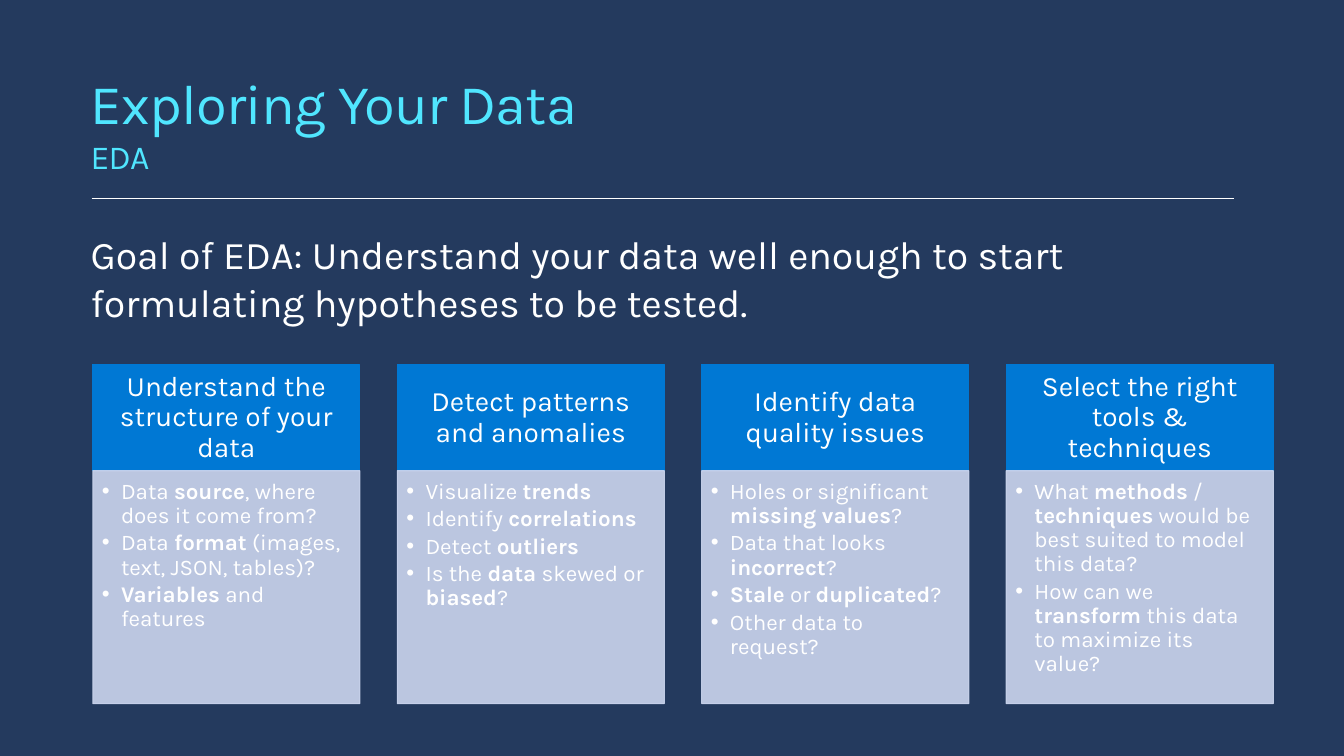
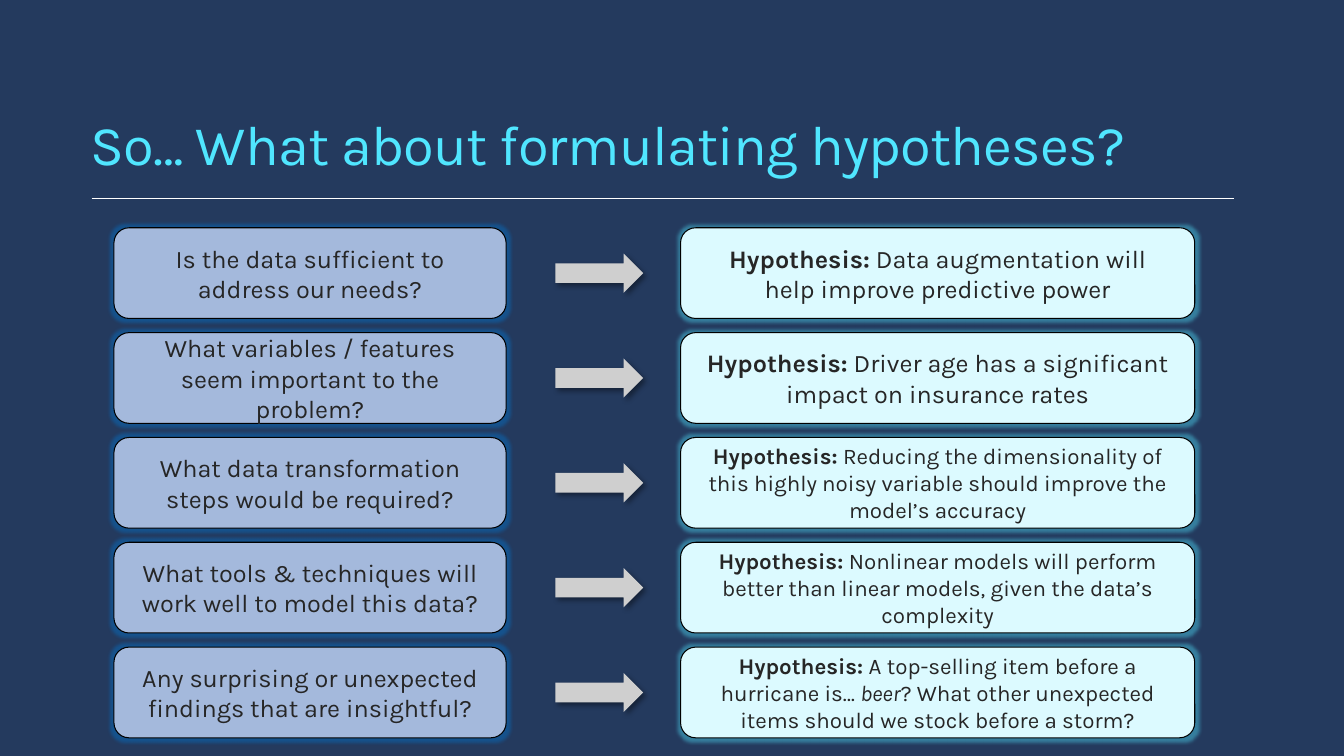
from lxml.etree import SubElement
from pptx import Presentation
from pptx.dml.color import RGBColor
from pptx.enum.shapes import MSO_CONNECTOR, MSO_SHAPE
from pptx.enum.text import MSO_ANCHOR, PP_ALIGN
from pptx.oxml.ns import qn
from pptx.util import Inches, Pt

NAVY = RGBColor(0x24, 0x3A, 0x5E)
CYAN = RGBColor(0x50, 0xE6, 0xFF)
WHITE = RGBColor(0xFF, 0xFF, 0xFF)
BLACK = RGBColor(0x00, 0x00, 0x00)
BLUE = RGBColor(0x00, 0x78, 0xD4)
PALE_BLUE = RGBColor(0xCC, 0xD6, 0xEF)
QUESTION_BLUE = RGBColor(0xA4, 0xB9, 0xDC)
ICE = RGBColor(0xDC, 0xFA, 0xFF)
GREY = RGBColor(0xCF, 0xCF, 0xCF)
INK = RGBColor(0x26, 0x26, 0x26)
FONT = "Karla"

# *bold* and _italic_ mark the runs
GOAL = ("Goal of EDA: Understand your data well enough to start "
        "formulating hypotheses to be tested.")
TOPICS = [
    ("Understand the structure of your data", [
        "Data *source*, where does it come from?",
        "Data *format* (images, text, JSON, tables)?",
        "*Variables* and features"]),
    ("Detect patterns and anomalies", [
        "Visualize *trends*",
        "Identify *correlations*",
        "Detect *outliers*",
        "Is the *data* skewed or *biased*?"]),
    ("Identify data quality issues", [
        "Holes or significant *missing values*?",
        "Data that looks *incorrect*?",
        "*Stale* or *duplicated*?",
        "Other data to request?"]),
    ("Select the right tools & techniques", [
        "What *methods* / *techniques* would be best suited to model this data?",
        "How can we *transform* this data to maximize its value?"]),
]
HYPOTHESES = [
    ("Is the data sufficient to address our needs?",
     "Data augmentation will help improve predictive power", 18),
    ("What variables / features seem important to the problem?",
     "Driver age has a significant impact on insurance rates", 18),
    ("What data transformation steps would be required?",
     "Reducing the dimensionality of this highly noisy variable should "
     "improve the model’s accuracy", 16),
    ("What tools & techniques will work well to model this data?",
     "Nonlinear models will perform better than linear models, given the "
     "data’s complexity", 16),
    ("Any surprising or unexpected findings that are insightful?",
     "A top-selling item before a hurricane is… _beer_? What other "
     "unexpected items should we stock before a storm?", 16),
]


def add_runs(paragraph, marked, size, color, spacing=None):
    for i, chunk in enumerate(marked.split("*")):
        for j, words in enumerate(chunk.split("_")):
            if not words:
                continue
            run = paragraph.add_run()
            run.text = words
            font = run.font
            font.name, font.size, font.color.rgb = FONT, Pt(size), color
            font.bold, font.italic = i % 2 == 1, j % 2 == 1
            if spacing:
                font._element.set("spc", str(spacing))


def set_frame(frame, anchor, insets=(0.1, 0.05, 0.1, 0.05)):
    frame.word_wrap = True
    frame.vertical_anchor = anchor
    (frame.margin_left, frame.margin_top,
     frame.margin_right, frame.margin_bottom) = map(Inches, insets)
    return frame


def add_text_box(slide, left, top, width, height, anchor):
    box = slide.shapes.add_textbox(*map(Inches, (left, top, width, height)))
    return set_frame(box.text_frame, anchor)


def add_block(slide, preset, place, fill, line=None):
    block = slide.shapes.add_shape(preset, *map(Inches, place))
    block.shadow.inherit = False
    block.fill.solid()
    block.fill.fore_color.rgb = fill
    if line is None:
        block.line.fill.background()
    else:
        block.line.color.rgb = line
        block.line.width = Pt(0.75)
    return block


def set_alpha(color_element, percent):
    SubElement(color_element, qn("a:alpha"), val=str(percent * 1000))


def add_effect(block, tag, color, percent, **settings):
    effects = block._element.spPr.find(qn("a:effectLst"))
    effect = SubElement(effects, qn(tag), **settings)
    set_alpha(SubElement(effect, qn("a:srgbClr"), val=str(color)), percent)


def add_bullet(paragraph):
    props = paragraph._p.get_or_add_pPr()
    props.set("marL", str(Inches(0.19)))
    props.set("indent", str(-Inches(0.19)))
    SubElement(props, qn("a:buFont"), typeface="Arial")
    SubElement(props, qn("a:buChar"), char="•")


def start_slide(deck, title, subtitle=None):
    slide = deck.slides.add_slide(deck.slide_layouts[6])
    frame = add_text_box(slide, 0.8, 0.52, 10.91, 1.28, MSO_ANCHOR.BOTTOM)
    add_runs(frame.paragraphs[0], title, 40, CYAN, -50)
    if subtitle:
        add_runs(frame.add_paragraph(), subtitle, 24, CYAN, -50)
    rule = slide.shapes.add_connector(
        MSO_CONNECTOR.STRAIGHT, *map(Inches, (0.91, 1.97, 12.24, 1.97)))
    rule.line.color.rgb = WHITE
    rule.line.width = Pt(0.75)
    SubElement(rule._element.spPr, qn("a:effectLst"))
    return slide


def add_topic(slide, left, heading, points):
    top, width, head_height, body_height = 3.62, 2.65, 1.05, 2.31
    head = add_block(slide, MSO_SHAPE.RECTANGLE,
                     (left, top, width, head_height), BLUE, BLUE)
    frame = set_frame(head.text_frame, MSO_ANCHOR.MIDDLE, (0.16, 0.09, 0.16, 0.09))
    paragraph = frame.paragraphs[0]
    paragraph.alignment = PP_ALIGN.CENTER
    paragraph.line_spacing = 0.9
    add_runs(paragraph, heading, 20, WHITE)

    body = add_block(slide, MSO_SHAPE.RECTANGLE,
                     (left, top + head_height, width, body_height),
                     PALE_BLUE, PALE_BLUE)
    for color in body._element.spPr.iter(qn("a:srgbClr")):
        set_alpha(color, 90)
    frame = set_frame(body.text_frame, MSO_ANCHOR.TOP, (0.09, 0.09, 0.12, 0.14))
    for i, point in enumerate(points):
        paragraph = frame.add_paragraph() if i else frame.paragraphs[0]
        add_bullet(paragraph)
        paragraph.alignment = PP_ALIGN.LEFT
        paragraph.line_spacing = 0.9
        paragraph.space_after = Pt(2.4)
        add_runs(paragraph, point, 16, WHITE)


def add_card(slide, place, fill, glow, marked, size):
    card = add_block(slide, MSO_SHAPE.ROUNDED_RECTANGLE, place, fill, BLACK)
    add_effect(card, "a:glow", glow, 40, rad=str(Pt(5)))
    frame = set_frame(card.text_frame, MSO_ANCHOR.MIDDLE, (0.2, 0.16, 0.2, 0.16))
    frame.paragraphs[0].alignment = PP_ALIGN.CENTER
    add_runs(frame.paragraphs[0], marked, size, INK)


def build_exploring(deck):
    slide = start_slide(deck, "Exploring Your Data", "EDA")
    goal = add_text_box(slide, 0.8, 2.24, 10.68, 1.1, MSO_ANCHOR.TOP)
    add_runs(goal.paragraphs[0], GOAL, 28, WHITE)
    for column, (heading, points) in enumerate(TOPICS):
        add_topic(slide, 0.92 + 3.02 * column, heading, points)


def build_hypotheses(deck):
    slide = start_slide(deck, "So… What about formulating hypotheses?")
    card_height, arrow_height = 0.9, 0.39
    for row, (question, hypothesis, size) in enumerate(HYPOTHESES):
        top = 2.26 + 1.04 * row
        add_card(slide, (1.13, top, 3.89, card_height),
                 QUESTION_BLUE, BLUE, question, 18)
        arrow_top = top + (card_height - arrow_height) / 2
        arrow = add_block(slide, MSO_SHAPE.RIGHT_ARROW,
                          (5.51, arrow_top, 0.87, arrow_height), GREY)
        add_effect(arrow, "a:outerShdw", BLACK, 40, blurRad=str(Pt(4)),
                   dist=str(Pt(3)), dir=str(45 * 60000))
        add_card(slide, (6.75, top, 5.1, card_height),
                 ICE, CYAN, f"*Hypothesis:* {hypothesis}", size)


def main():
    deck = Presentation()
    deck.slide_width, deck.slide_height = Inches(13.33), Inches(7.5)
    backdrop = deck.slide_master.background.fill
    backdrop.solid()
    backdrop.fore_color.rgb = NAVY
    build_exploring(deck)
    build_hypotheses(deck)
    deck.save("out.pptx")


if __name__ == "__main__":
    main()
